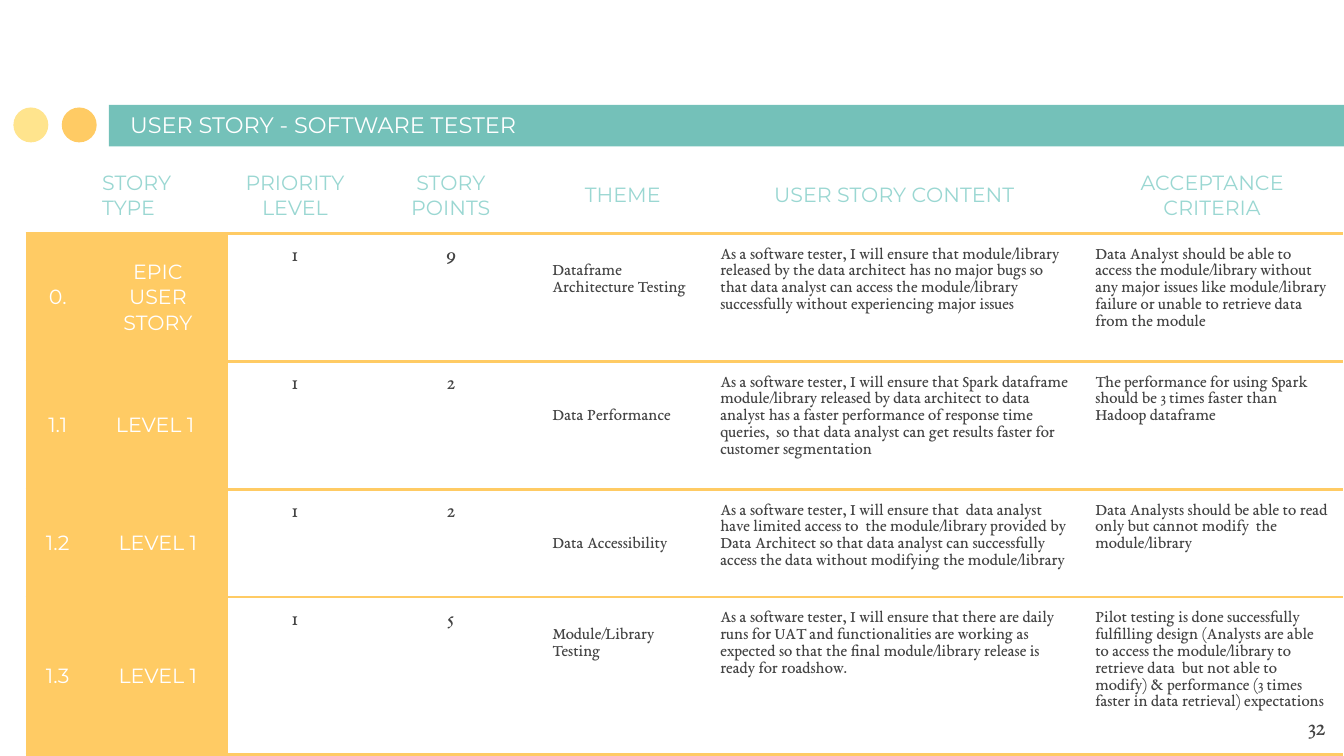
from lxml import etree
from pptx import Presentation
from pptx import util as u
from pptx.dml.color import RGBColor
from pptx.enum import shapes, text
from pptx.oxml.ns import qn

COLORS = {"teal": "74C1B9", "mint": "9AD7D2", "amber": "FFCB64",
          "cream": "FFE48D", "ink": "434343", "white": "FFFFFF"}
HEAD_FONT, BODY_FONT = "Montserrat", "EB Garamond"
LEFT, CENTER, RIGHT = (text.PP_ALIGN.LEFT, text.PP_ALIGN.CENTER,
                       text.PP_ALIGN.RIGHT)
TOP, MIDDLE, BOTTOM = (text.MSO_ANCHOR.TOP, text.MSO_ANCHOR.MIDDLE,
                       text.MSO_ANCHOR.BOTTOM)
GRID = 100      # square grid units across the slide width
LINE = 1.25     # grid units taken by one line of body text

HEADERS = ["", "STORY TYPE", "PRIORITY LEVEL", "STORY POINTS", "THEME",
           "USER STORY CONTENT", "ACCEPTANCE CRITERIA"]
STORIES = [
    ["0.", "EPIC USER STORY", "1", "9", "Dataframe Architecture Testing",
     "As a software tester, I will ensure that module/library released by the "
     "data architect has no major bugs so that data analyst can access the "
     "module/library successfully without experiencing major issues",
     "Data Analyst should be able to access the module/library without  any "
     "major issues like module/library failure or unable to retrieve data "
     "from the module"],
    ["1.1", "LEVEL 1 ", "1", "2", "Data Performance",
     "As a software tester, I will ensure that Spark dataframe module/library "
     "released by data architect to data analyst has a faster performance of "
     "response time queries,  so that data analyst can get results faster for "
     "customer segmentation",
     "The performance for using Spark should be 3 times faster than Hadoop "
     "dataframe"],
    ["1.2", "LEVEL 1", "1", "2", "Data Accessibility",
     "As a software tester, I will ensure that  data analyst have limited "
     "access to  the module/library provided by Data Architect so that data "
     "analyst can successfully access the data without modifying the "
     "module/library",
     "Data Analysts should be able to read only but cannot modify  the "
     "module/library"],
    ["1.3", "LEVEL 1", "1", "5", "Module/Library Testing",
     "As a software tester, I will ensure that there are daily runs for UAT "
     "and functionalities are working as expected so that the final "
     "module/library release is ready for roadshow.",
     "Pilot testing is done successfully fulfilling design (Analysts are able "
     "to access the module/library to retrieve data  but not able to modify) "
     "& performance (3 times faster in data retrieval) expectations"],
]
THEME_DROPS = [1, 2, 2, 1]      # lines each theme sits below its row's top
COLUMNS = [4.6, 10.3, 10.1, 13.1, 12.5, 27.9, 19.4]
ROWS = [5.5, 8.9, 8.9, 8, 11.7]


def write(frame, words, size=11, font=HEAD_FONT, color="white", align=CENTER):
    para = frame.paragraphs[0]
    para.alignment = align
    span = para.add_run()
    span.text = words
    span.font.size = u.Pt(size)
    span.font.name = font
    span.font.color.rgb = RGBColor.from_string(COLORS[color])


class Page:
    def __init__(self, deck):
        self.unit = deck.slide_width / GRID
        self.shapes = deck.slides.add_slide(deck.slide_layouts[6]).shapes

    def size(self, *units):
        return [round(value * self.unit) for value in units]

    def shape(self, kind, place, color):
        shape = self.shapes.add_shape(kind, *self.size(*place))
        shape.shadow.inherit = False
        shape.fill.solid()
        shape.fill.fore_color.rgb = RGBColor.from_string(COLORS[color])
        shape.line.fill.background()

    def label(self, words, place, anchor=TOP, **style):
        frame = self.shapes.add_textbox(*self.size(*place)).text_frame
        frame.word_wrap = True
        frame.vertical_anchor = anchor
        self.pad(frame)
        write(frame, words, **style)

    def pad(self, target, top=1):
        target.margin_left, target.margin_right = self.size(1, 1)
        target.margin_top, target.margin_bottom = self.size(top, 1)

    def table(self, left, top, columns, rows):
        place = self.size(left, top, sum(columns), sum(rows))
        table = self.shapes.add_table(len(rows), len(columns), *place).table
        table.first_row = table.horz_banding = False
        for column, width in zip(table.columns, self.size(*columns)):
            column.width = width
        for row, height in zip(table.rows, self.size(*rows)):
            row.height = height
        return table

    def cell(self, cell, words, fill=None, sides="", anchor=TOP, drop=0,
             **style):
        self.pad(cell, 1 + drop * LINE)
        cell.vertical_anchor = anchor
        if words:
            write(cell.text_frame, words, **style)
        self.borders(cell, sides)
        if fill:
            cell.fill.solid()
            cell.fill.fore_color.rgb = RGBColor.from_string(COLORS[fill])
        else:
            cell.fill.background()

    def borders(self, cell, sides):
        properties = cell._tc.get_or_add_tcPr()
        for side in "LRTB":
            line = etree.SubElement(properties, qn(f"a:ln{side}"),
                                    w=str(u.Pt(1.5)))
            if side in sides:
                paint = etree.SubElement(line, qn("a:solidFill"))
                etree.SubElement(paint, qn("a:srgbClr"), val=COLORS["amber"])
            else:
                etree.SubElement(line, qn("a:noFill"))


def main():
    deck = Presentation()
    deck.slide_width = u.Inches(10)
    deck.slide_height = deck.slide_width * 9 // 16
    page = Page(deck)

    # Title band and dots
    page.shape(shapes.MSO_SHAPE.RECTANGLE, (8.1, 7.8, GRID - 8.1, 3.1), "teal")
    for left, color in ((4.6, "amber"), (1, "cream")):
        page.shape(shapes.MSO_SHAPE.OVAL, (left, 8, 2.6, 2.6), color)
    page.label("USER STORY - SOFTWARE TESTER", (8.7, 7.9, 54.8, 3.4),
               anchor=BOTTOM, size=12, align=LEFT)

    # Table header
    table = page.table(2, 11.7, COLUMNS, ROWS)
    for column, words in enumerate(HEADERS):
        page.cell(table.cell(0, column), words, sides="B", anchor=MIDDLE,
                  color="mint", align=LEFT if column == 1 else CENTER)

    # Stories: amber labels, centred figures, then running text
    body = dict(font=BODY_FONT, color="ink")
    for row, (story, drop) in enumerate(zip(STORIES, THEME_DROPS), 1):
        for column, words in enumerate(story):
            if column < 2:
                style = dict(fill="amber", sides="LRTB", anchor=MIDDLE)
            elif column < 4:
                style = dict(body, sides="LTB" if column == 2 else "TB")
            else:
                style = dict(body, sides="TB", size=9, align=LEFT,
                             drop=drop if column == 4 else 0)
            page.cell(table.cell(row, column), words, **style)

    # Page number
    page.label("32", (93.6, 51.9, 6, 4.3), size=13, align=RIGHT, **body)
    deck.save("out.pptx")


if __name__ == "__main__":
    main()
